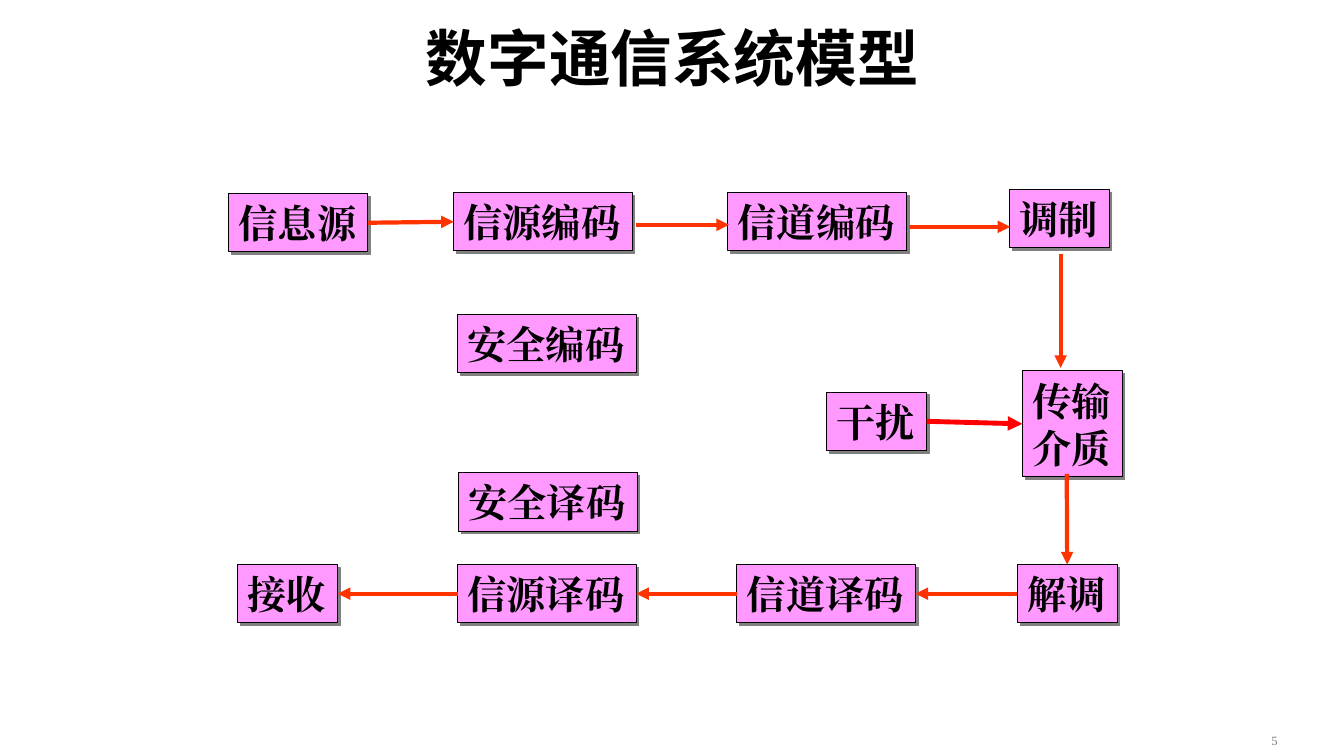
import pptx
import pptx.dml.color
import pptx.enum.shapes
import pptx.enum.text
import pptx.oxml
import pptx.oxml.ns
import pptx.util
from pptx.util import Inches

SHAPE = pptx.enum.shapes.MSO_SHAPE
LINK = pptx.enum.shapes.MSO_CONNECTOR
ALIGN = pptx.enum.text.PP_ALIGN
MID = pptx.enum.text.MSO_ANCHOR.MIDDLE
LOW = pptx.enum.text.MSO_ANCHOR.BOTTOM
TOP, LEFT, BASE, RIGHT = range(4)
NS = pptx.oxml.ns.nsdecls("a")


class Board:
    hues = {"ink": "000000", "box": "FF99FF", "shade": "808080",
            "flow": "FF3300", "noise": "FF0000"}
    sans = "Noto Sans CJK SC"
    serif = "Times New Roman"

    def __init__(self, slide):
        self.slide = slide

    def hue(self, name):
        return pptx.dml.color.RGBColor.from_string(self.hues[name])

    def letter(self, frame, text, face, size, hue="ink", bold=True,
               align=ALIGN.LEFT, pitch=None, **form):
        for key, val in form.items():
            setattr(frame, key, val)
        frame.text = text
        look = {"name": face, "size": pptx.util.Pt(size), "bold": bold}
        for para in frame.paragraphs:
            para.alignment = align
            if pitch:
                para.line_spacing = pptx.util.Pt(pitch)
            for run in para.runs:
                for key, val in look.items():
                    setattr(run.font, key, val)
                run.font.color.rgb = self.hue(hue)
                run.font._element.append(pptx.oxml.parse_xml(
                    f'<a:ea {NS} typeface="{face}"/>'))

    def label(self, area, text, face, size, **form):
        box = self.slide.shapes.add_textbox(*map(Inches, area))
        self.letter(box.text_frame, text, face, size,
                    margin_top=Inches(0.04), margin_bottom=Inches(0.04),
                    margin_left=Inches(0.09), margin_right=Inches(0.09), **form)

    def block(self, text, left, top):
        rows = text.split("\n")
        wide = 0.99 + 0.39 * (len(rows[0]) - 2)
        high = 0.58 + 0.47 * (len(rows) - 1)
        box = self.slide.shapes.add_shape(
            SHAPE.RECTANGLE, *map(Inches, (left, top, wide, high)))
        box.fill.solid()
        box.fill.fore_color.rgb = self.hue("box")
        box.line.color.rgb = self.hue("ink")
        box.line.width = pptx.util.Pt(0.75)
        box.shadow.inherit = False
        glow = box._element.spPr.find(pptx.oxml.ns.qn("a:effectLst"))
        glow.append(pptx.oxml.parse_xml(
            f'<a:outerShdw {NS} blurRad="0" dist="35560" dir="2700000" '
            f'algn="ctr" rotWithShape="0"><a:srgbClr val="{self.hues["shade"]}"/>'
            '</a:outerShdw>'))
        self.letter(box.text_frame, text, self.serif, 28, align=ALIGN.JUSTIFY,
                    pitch=33.6, word_wrap=False, vertical_anchor=MID)
        return box

    def arrow(self, start, end, hue="flow", width=3, tail=None, head=None):
        line = self.slide.shapes.add_connector(
            LINK.STRAIGHT, *map(Inches, start + end))
        if tail:
            line.begin_connect(*tail)
        if head:
            line.end_connect(*head)
        line.line.color.rgb = self.hue(hue)
        line.line.width = pptx.util.Pt(width)
        line.line._get_or_add_ln().append(
            pptx.oxml.parse_xml(f'<a:tailEnd {NS} type="triangle"/>'))
        line._element.spPr.append(pptx.oxml.parse_xml(f"<a:effectLst {NS}/>"))


def main():
    deck = pptx.Presentation()
    deck.slide_width, deck.slide_height = Inches(13.33), Inches(7.5)
    board = Board(deck.slides.add_slide(deck.slide_layouts[6]))

    board.label((12.52, 7.22, 0.33, 0.24), "5", board.serif, 9, hue="shade",
                bold=False, word_wrap=False, vertical_anchor=LOW)
    board.label((2.42, 0.19, 8.5, 0.75), "数字通信系统模型", board.sans, 44,
                align=ALIGN.CENTER, word_wrap=True, vertical_anchor=MID)

    spots = [
        ("信息源", 2.27, 1.92), ("信源编码", 4.5, 1.91),
        ("信道编码", 7.22, 1.91), ("调制", 10.01, 1.88),
        ("接收", 2.36, 5.6), ("信源译码", 4.54, 5.6),
        ("信道译码", 7.31, 5.6), ("解调", 10.09, 5.6),
        ("传输\n介质", 10.14, 3.68), ("干扰", 8.2, 3.89),
        ("安全编码", 4.54, 3.12), ("安全译码", 4.55, 4.69),
    ]
    box = {text: board.block(text, left, top) for text, left, top in spots}

    board.arrow((10.52, 2.52), (10.52, 3.65))
    board.arrow((10.58, 4.7), (10.58, 5.6), head=(box["解调"], TOP))
    board.arrow((3.65, 2.2), (4.5, 2.2), tail=(box["信息源"], RIGHT),
                head=(box["信源编码"], LEFT))
    board.arrow((6.31, 2.23), (7.23, 2.23))
    board.arrow((9.02, 2.25), (10.02, 2.25))

    back = ["解调", "信道译码", "信源译码", "接收"]
    for here, there in zip(back, back[1:]):
        board.arrow((0, 0), (0, 0), tail=(box[here], LEFT),
                    head=(box[there], RIGHT))
    board.arrow((9.19, 4.18), (10.14, 4.2), hue="noise", width=3.5,
                tail=(box["干扰"], RIGHT), head=(box["传输\n介质"], LEFT))

    deck.save("out.pptx")


if __name__ == "__main__":
    main()
